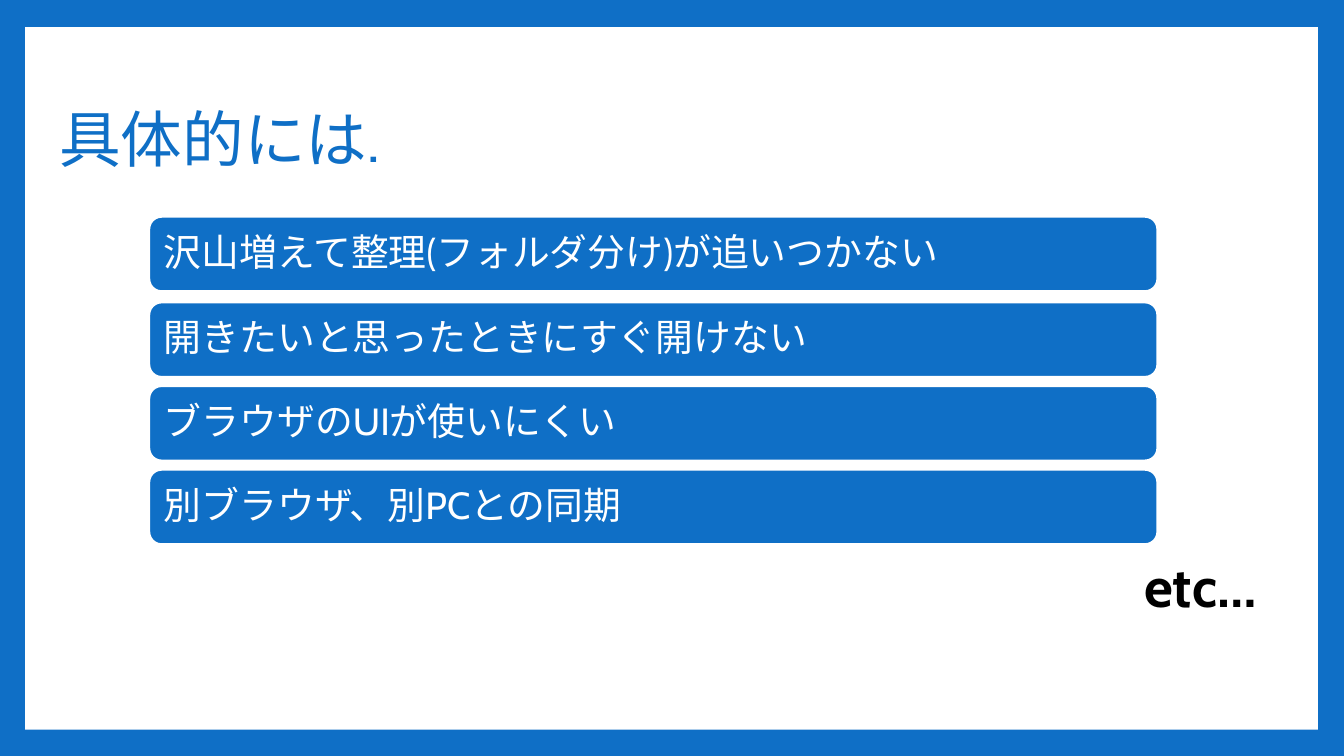
"""Build a slide that lists concrete bookmark problems in four rounded bars."""
from pptx import Presentation
from pptx.dml.color import RGBColor
from pptx.enum.shapes import MSO_SHAPE as SHAPE
from pptx.enum.text import MSO_ANCHOR as ANCHOR
from pptx.util import Inches, Pt

BLUE, WHITE, BLACK = "0F6FC6", "FFFFFF", "000000"


def rgb(value):
    return RGBColor.from_string(value)


def write(sp, text, size, color, bold=False, spacing=0.9, inset=0.1,
          anchor=ANCHOR.MIDDLE, wrap=True):
    tf = sp.text_frame
    tf.word_wrap = wrap
    tf.vertical_anchor = anchor
    tf.margin_left = tf.margin_right = Inches(inset)
    tf.margin_top = tf.margin_bottom = Inches(inset / 2)
    p = tf.paragraphs[0]
    p.alignment = 1
    p.line_spacing = spacing
    r = p.add_run()
    r.text = text
    r.font.name = "Cabin"
    r.font.size = Pt(size)
    r.font.bold = bold
    r.font.color.rgb = rgb(color)


prs = Presentation()
prs.slide_width, prs.slide_height = Inches(13.33), Inches(7.5)
s = prs.slides.add_slide(prs.slide_layouts[6])
s.background.fill.solid()
s.background.fill.fore_color.rgb = rgb(BLUE)

panel = s.shapes.add_shape(SHAPE.RECTANGLE, Inches(0.25), Inches(0.27),
                           Inches(12.82), Inches(6.97))
panel.shadow.inherit = False
panel.fill.solid()
panel.fill.fore_color.rgb = rgb(WHITE)
panel.line.fill.background()

title = s.shapes.add_textbox(Inches(0.49), Inches(0.67), Inches(12.68), Inches(1.48))
write(title, "具体的には.", 44, BLUE)

problems = [
    (2.15, "沢山増えて整理(フォルダ分け)が追いつかない"),
    (3.0, "開きたいと思ったときにすぐ開けない"),
    (3.83, "ブラウザのUIが使いにくい"),
    (4.66, "別ブラウザ、別PCとの同期"),
]
for top, problem in problems:
    bar = s.shapes.add_shape(SHAPE.ROUNDED_RECTANGLE, Inches(1.48), Inches(top),
                             Inches(10), Inches(0.74))
    bar.shadow.inherit = False
    bar.fill.solid()
    bar.fill.fore_color.rgb = rgb(BLUE)
    bar.line.color.rgb = rgb(WHITE)
    bar.line.width = Pt(1.5)
    write(bar, problem, 27, WHITE, inset=0.11)

etc = s.shapes.add_textbox(Inches(11.25), Inches(5.42), Inches(1.44), Inches(0.77))
write(etc, "etc…", 40, BLACK, bold=True, spacing=1.0, anchor=ANCHOR.TOP, wrap=False)

prs.save("out.pptx")
